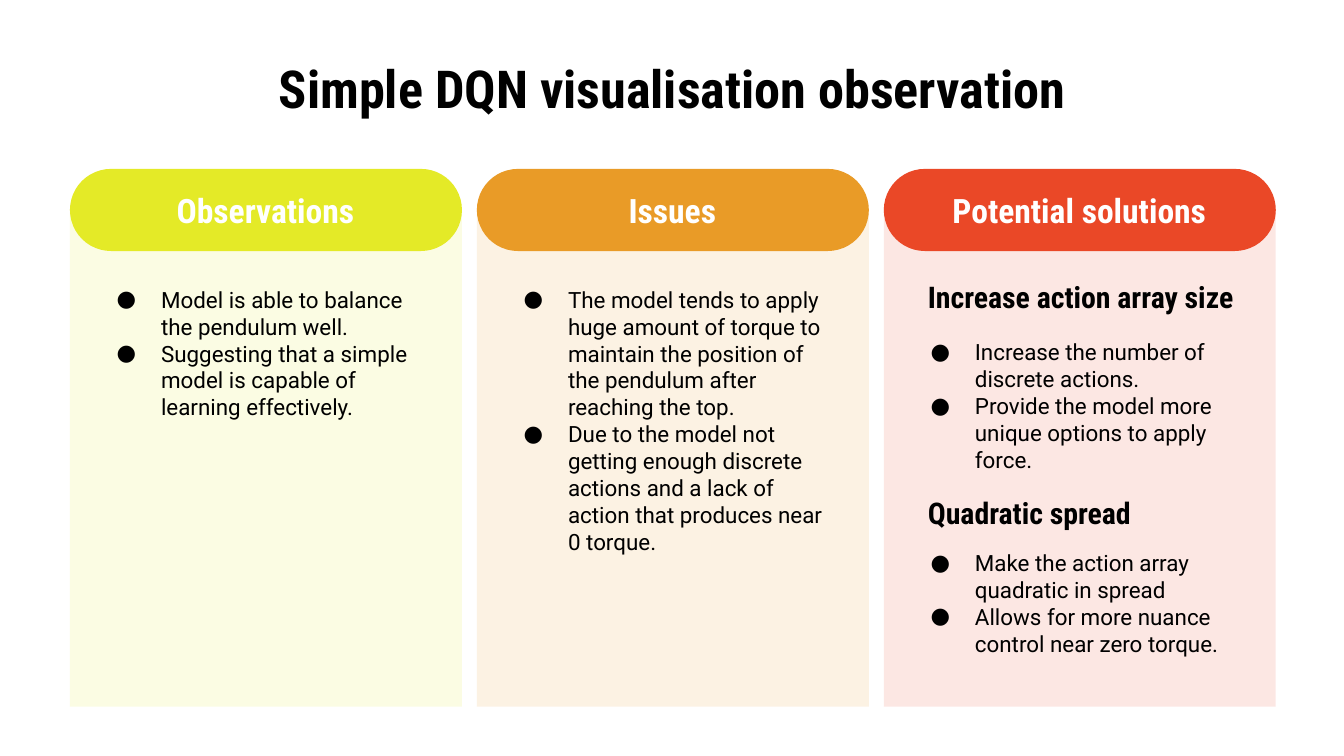
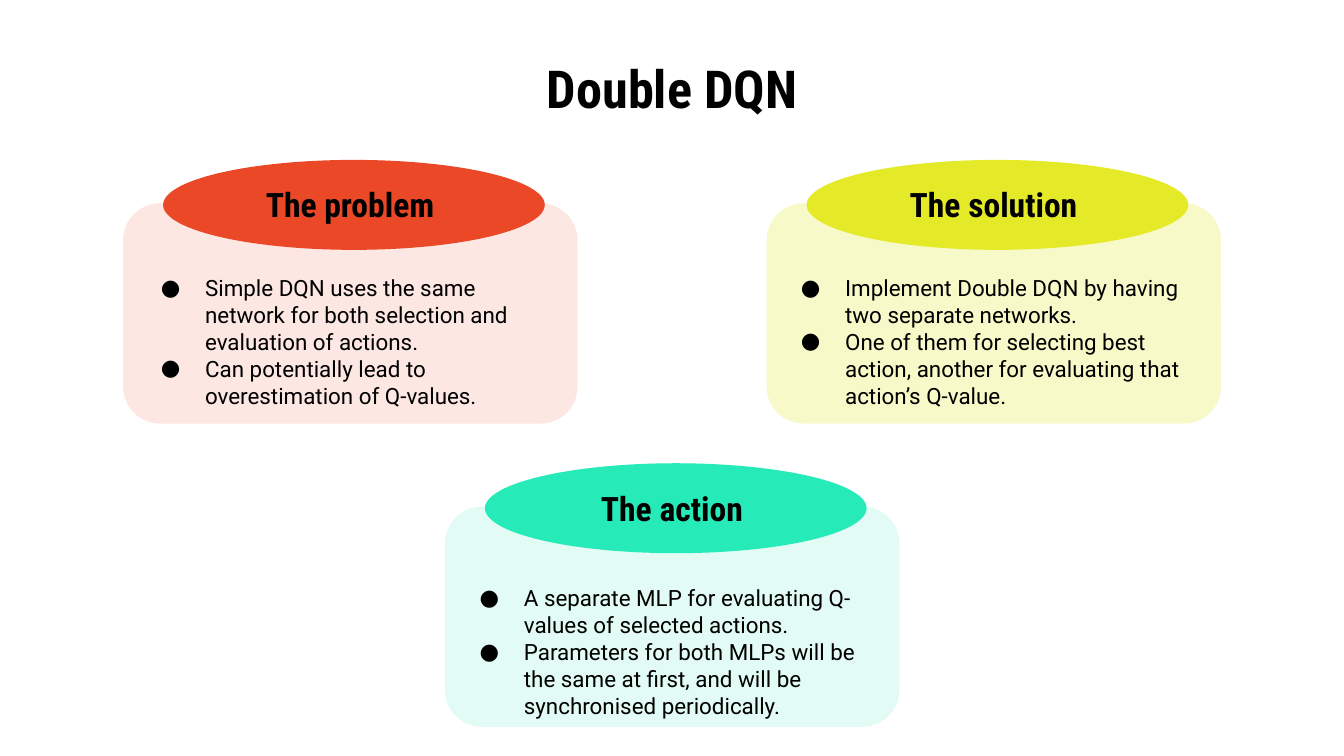
import pptx
import pptx.util
import pptx.dml.color
import pptx.enum.shapes
import pptx.enum.text
import pptx.oxml.ns
import lxml.etree

Pt = pptx.util.Pt
qn = pptx.oxml.ns.qn
KIND = pptx.enum.shapes.MSO_SHAPE
ALIGN = pptx.enum.text.PP_ALIGN
MID = pptx.enum.text.MSO_ANCHOR.MIDDLE
TOP = pptx.enum.text.MSO_ANCHOR.TOP

RED, GOLD, LIME, MINT = "EA4827", "E99B27", "E4EA27", "26EAB8"
BLACK, WHITE = "000000", "FFFFFF"
COND, BODY = "Roboto Condensed", "Roboto"

STYLES = {
    "title": dict(name=COND, size=Pt(28), bold=True),
    "head": dict(name=COND, size=Pt(18), bold=True),
    "sub": dict(name=COND, size=Pt(16), bold=True),
    "list": dict(name=BODY, size=Pt(12), bold=False),
}


def block(slide, kind, box, hue, alpha=100, round_by=None):
    """Add a borderless shape; alpha is its opacity in percent."""
    shape = slide.shapes.add_shape(kind, *map(Pt, box))
    shape.shadow.inherit = False
    shape.line.fill.background()
    shape.fill.solid()
    shape.fill.fore_color.rgb = pptx.dml.color.RGBColor.from_string(hue)
    if round_by is not None:
        shape.adjustments[0] = round_by
    if alpha < 100:
        for tint in shape._element.iter(qn("a:srgbClr")):
            lxml.etree.SubElement(tint, qn("a:alpha"), val=str(alpha * 1000))


def write(slide, box, lines, style, hue=BLACK):
    """Put lines in the title placeholder or in a new text box."""
    if style == "title":
        shape = slide.shapes.title
        shape.left, shape.top, shape.width, shape.height = map(Pt, box)
    else:
        shape = slide.shapes.add_textbox(*map(Pt, box))
    frame = shape.text_frame
    look = dict(
        word_wrap=True,
        auto_size=pptx.enum.text.MSO_AUTO_SIZE.NONE,
        vertical_anchor=TOP if style == "list" else MID,
    )
    for side in ("left", "top", "right", "bottom"):
        look["margin_" + side] = Pt(7.2)
    for key, value in look.items():
        setattr(frame, key, value)
    frame.text = "\n".join(lines)
    for para in frame.paragraphs:
        para.alignment = ALIGN.CENTER if style in ("title", "head") else ALIGN.LEFT
        if style == "list":
            props = para._p.get_or_add_pPr()
            props.set("marL", str(Pt(25.2)))
            props.set("indent", str(-Pt(23.75)))
            tint = lxml.etree.SubElement(props, qn("a:buClr"))
            lxml.etree.SubElement(tint, qn("a:srgbClr"), val=hue)
            lxml.etree.SubElement(props, qn("a:buFont"), typeface=BODY)
            lxml.etree.SubElement(props, qn("a:buChar"), char="●")
        for run in para.runs:
            for key, value in STYLES[style].items():
                setattr(run.font, key, value)
            run.font.color.rgb = pptx.dml.color.RGBColor.from_string(hue)


deck = pptx.Presentation()
deck.slide_width, deck.slide_height = Pt(720), Pt(405)
pages = []
for title in ("Simple DQN visualisation observation", "Double DQN"):
    page = deck.slides.add_slide(deck.slide_layouts[5])
    write(page, (36, 32.4, 648, 29.5), [title], "title")
    pages.append(page)
review, double = pages

# Slide 1: three columns; each part is style, top, width, height, lines
columns = [
    ("Observations", LIME, [
        ("list", 146, 176.4, 89, [
            "Model is able to balance the pendulum well.",
            "Suggesting that a simple model is capable of learning effectively."]),
    ]),
    ("Issues", GOLD, [
        ("list", 146, 176.4, 89, [
            "The model tends to apply huge amount of torque to maintain the "
            "position of the pendulum after reaching the top.",
            "Due to the model not getting enough discrete actions and a lack "
            "of action that produces near 0 torque."]),
    ]),
    ("Potential solutions", RED, [
        ("sub", 146, 188.6, 26, ["Increase action array size"]),
        ("list", 174.2, 176.4, 89, [
            "Increase the number of discrete actions.",
            "Provide the model more unique options to apply force."]),
        ("sub", 261.4, 188.6, 26, ["Quadratic spread"]),
        ("list", 287, 176.4, 89, [
            "Make the action array quadratic in spread",
            "Allows for more nuance control near zero torque."]),
    ]),
]
for i, (name, hue, parts) in enumerate(columns):
    left = 37.5 + 218 * i
    block(review, KIND.RECTANGLE, (left, 111.6, 210, 267), hue, 13)
    block(review, KIND.ROUNDED_RECTANGLE, (left, 90.5, 210, 44), hue, round_by=0.5)
    write(review, (left + 16.5, 99.4, 176.4, 26), [name], "head", WHITE)
    for style, top, width, height, lines in parts:
        write(review, (left + 16.5, top, width, height), lines, style)

# Slide 2: name, hue, opacity, left, top, list offset, lines
cards = [
    ("The problem", RED, 13, 66, 108.9, (11.6, 30.8), [
        "Simple DQN uses the same network for both selection and evaluation of actions.",
        "Can potentially lead to overestimation of Q-values."]),
    ("The solution", LIME, 25, 410.7, 108.9, (9.8, 30.8), [
        "Implement Double DQN by having two separate networks.",
        "One of them for selecting best action, another for evaluating that "
        "action’s Q-value."]),
    ("The action", MINT, 13, 238.4, 271.4, (10, 34.6), [
        "A separate MLP for evaluating Q-values of selected actions.",
        "Parameters for both MLPs will be the same at first, and will be "
        "synchronised periodically."]),
]
for name, hue, alpha, left, top, (dx, dy), lines in cards:
    block(double, KIND.ROUNDED_RECTANGLE, (left, top, 243.4, 118), hue, alpha, 0.167)
    block(double, KIND.OVAL, (left + 21.4, top - 23.2, 204.5, 48.2), hue)
    write(double, (left + 54.3, top - 9.4, 134.6, 20), [name], "head")
    write(double, (left + dx, top + dy, 224, 83.5), lines, "list")

deck.save("out.pptx")
